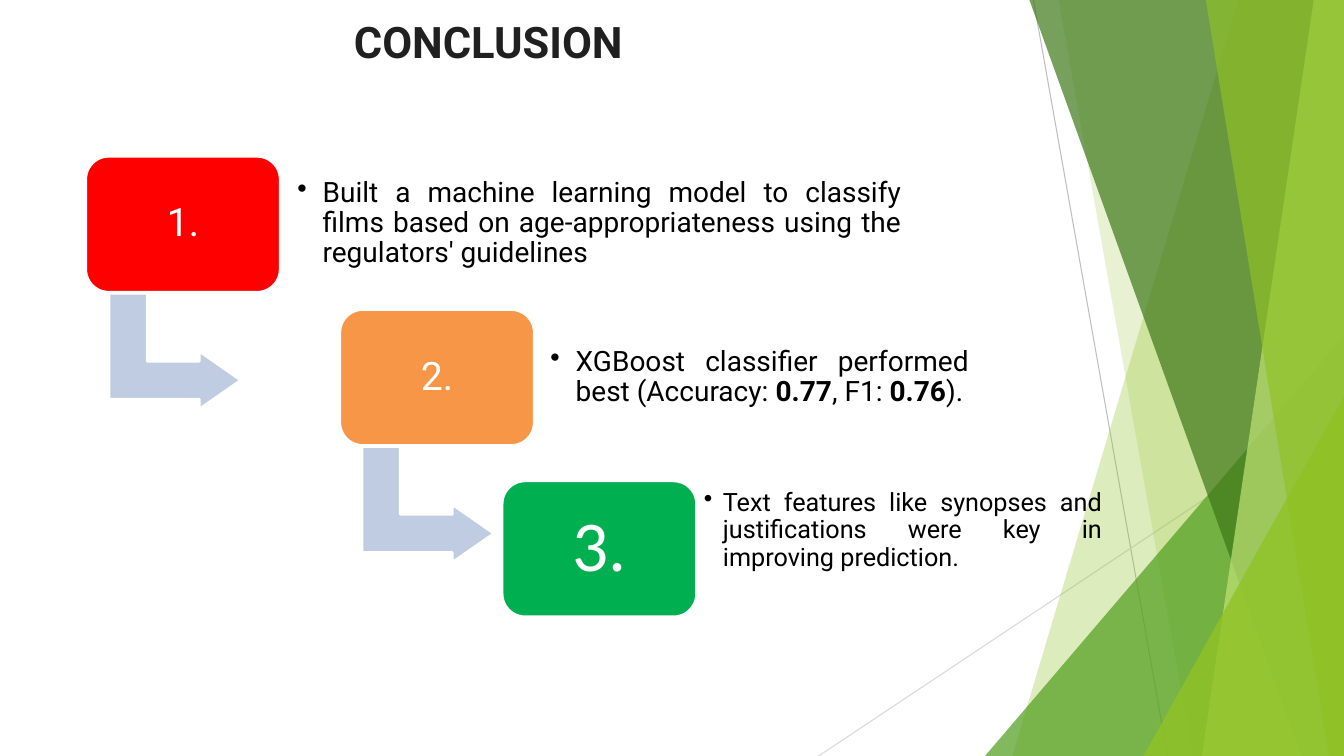
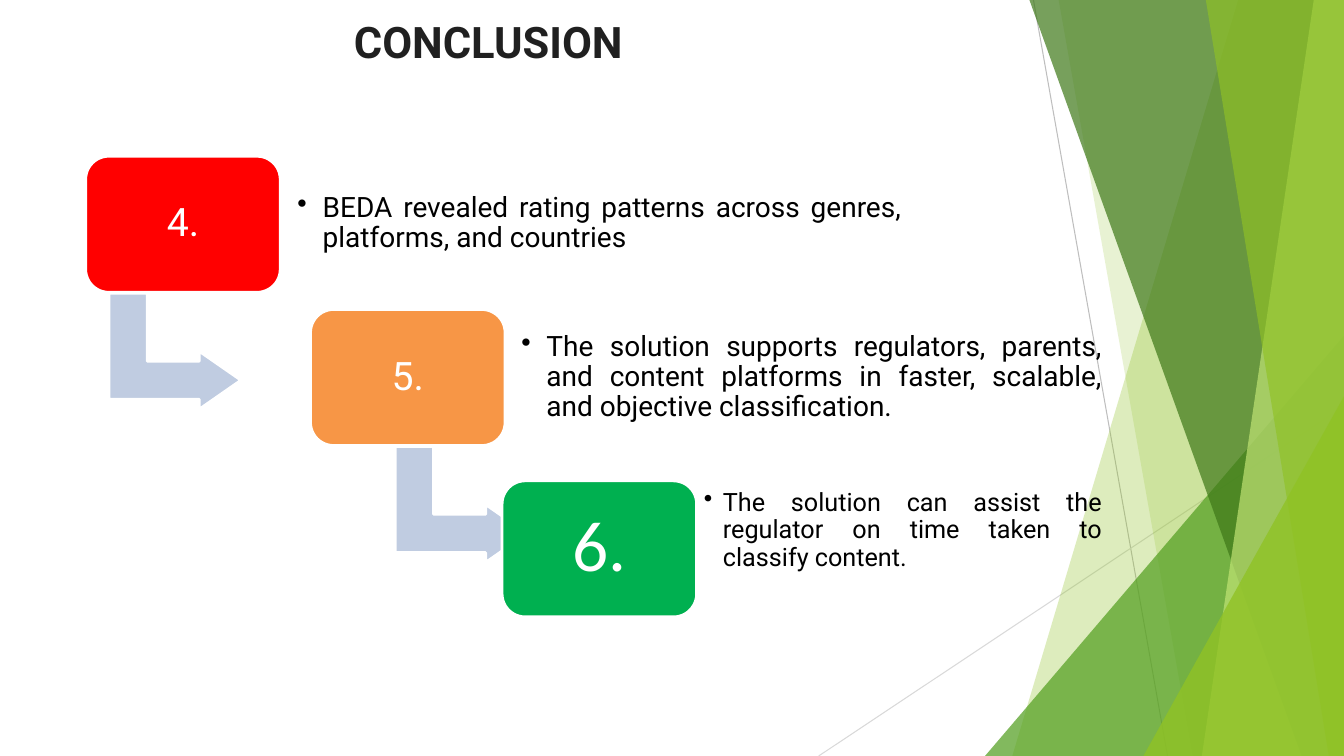
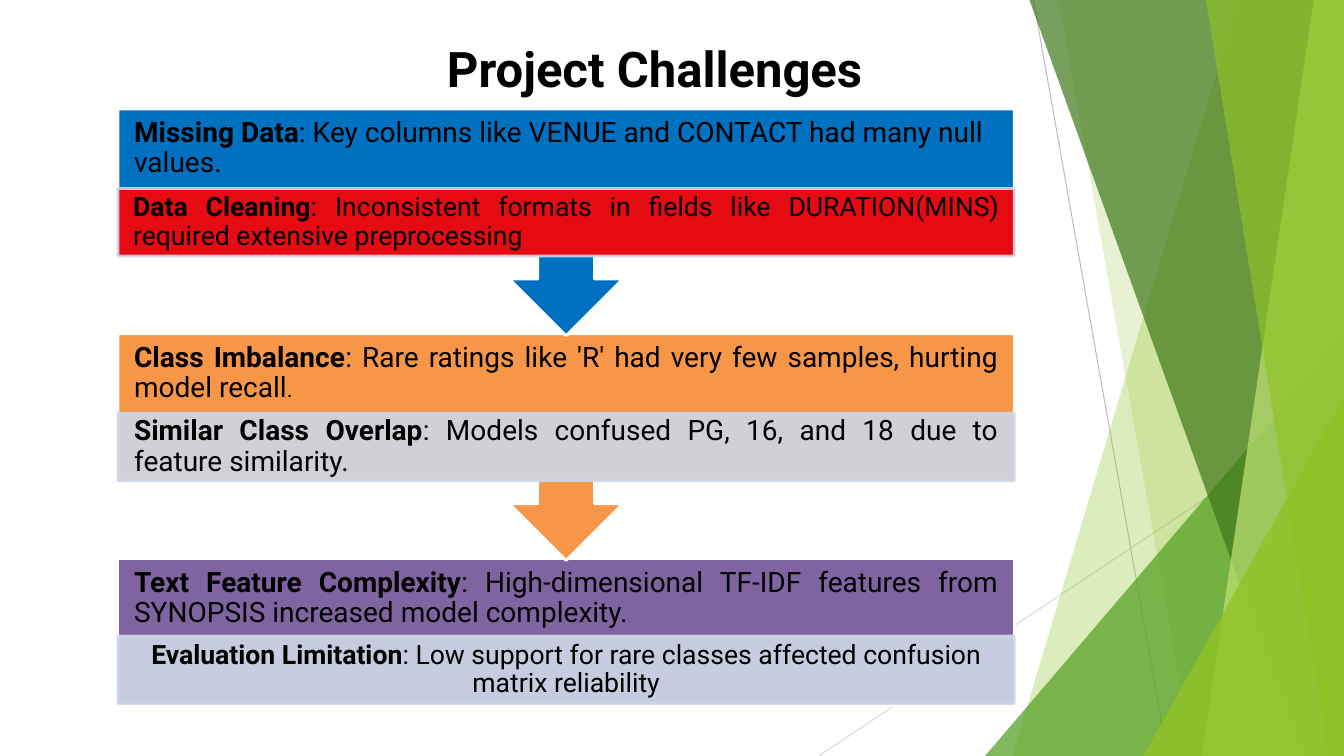
from dataclasses import dataclass
from typing import NamedTuple, Optional

from lxml.etree import SubElement
from pptx import Presentation
from pptx.dml.color import RGBColor
from pptx.enum.shapes import MSO_CONNECTOR, MSO_SHAPE
from pptx.enum.text import MSO_ANCHOR, MSO_AUTO_SIZE, PP_ALIGN
from pptx.oxml.ns import qn
from pptx.util import Inches, Pt

FONT = "Roboto"
BLACK, WHITE = "000000", "FFFFFF"
RED, ORANGE, GREEN = "FF0000", "F79646", "00B050"
BLUE, PURPLE = "0070C0", "8064A2"
PALE_BLUE, ARROW_BLUE = "CFD7E7", "C0CCE1"
WIDTH, HEIGHT = 13.33, 7.5


class Span(NamedTuple):
    text: str
    bold: bool = False
    size: Optional[float] = None


class Frame(NamedTuple):
    left: float
    top: float
    width: float
    height: float

    def lengths(self) -> list:
        return [Inches(value) for value in self]


class Ray(NamedTuple):
    start: tuple
    end: tuple
    colour: str


class Shard(NamedTuple):
    corners: tuple
    colour: str
    opacity: int


@dataclass(frozen=True)
class TextStyle:
    size: float
    colour: str = BLACK
    font: str = FONT
    align: PP_ALIGN = PP_ALIGN.JUSTIFY
    anchor: MSO_ANCHOR = MSO_ANCHOR.MIDDLE
    margin_x: float = 0
    margin_y: float = 0
    indent: float = 0
    line_spacing: float = 0.9


@dataclass(frozen=True)
class Tier:
    top: float
    colour: str
    number: TextStyle
    note_top: float
    note_offset: float
    note: TextStyle


@dataclass(frozen=True)
class Step:
    label: str
    left: float
    note_width: float
    spans: tuple
    arrow_left: Optional[float] = None


@dataclass(frozen=True)
class Detail:
    offset: float
    colour: str
    style: TextStyle
    spans: tuple


@dataclass(frozen=True)
class Stage:
    colour: str
    style: TextStyle
    spans: tuple
    detail: Detail
    leads_on: bool = True


RAYS = (
    Ray((10.25, 0), (11.58, HEIGHT), "BEBEBE"),
    Ray((WIDTH, 4.03), (8.12, HEIGHT), "D9D9D9"),
)
SHARDS = (
    Shard(((WIDTH, 0), (12.28, 0), (10.04, HEIGHT)), "90C225", 30),
    Shard(((WIDTH, 0), (10.5, 0), (11.83, HEIGHT)), "90C225", 20),
    Shard(((WIDTH, 3.33), (9.77, HEIGHT)), "539F20", 72),
    Shard(((WIDTH, 0), (10.21, 0), (12.91, HEIGHT)), "3E7818", 70),
    Shard(((WIDTH, 0), (13.03, 0), (11.92, HEIGHT)), "C0E374", 70),
    Shard(((WIDTH, 0), (11.96, 0), (13.18, HEIGHT)), "90C225", 65),
    Shard(((WIDTH, 3.93), (11.34, HEIGHT)), "90C225", 80),
)

CONCLUSION_TITLE = TextStyle(31, "202020", align=PP_ALIGN.LEFT, anchor=MSO_ANCHOR.TOP,
                             margin_x=0.01, margin_y=0.01, line_spacing=1.0)
CHALLENGES_TITLE = TextStyle(35, align=PP_ALIGN.CENTER, anchor=MSO_ANCHOR.TOP,
                             margin_x=0.1, margin_y=0.05, line_spacing=1.0)

NUMBER = TextStyle(28, WHITE, align=PP_ALIGN.CENTER, margin_x=0.12, margin_y=0.12)
LARGE_NUMBER = TextStyle(51, WHITE, "Calibri", PP_ALIGN.CENTER, margin_x=0.21, margin_y=0.21)
NOTE = TextStyle(20, margin_x=0.08, margin_y=0.08, indent=0.25)
SMALL_NOTE = TextStyle(18, margin_x=0.07, margin_y=0.07, indent=0.19)
TIERS = (
    Tier(1.55, RED, NUMBER, 1.67, 2.02, NOTE),
    Tier(3.07, ORANGE, NUMBER, 3.2, 2.01, NOTE),
    Tier(4.77, GREEN, LARGE_NUMBER, 4.72, 1.93, SMALL_NOTE),
)

CONCLUSIONS = (
    (
        Step("1.", 0.85, 6.15, (Span(
            "Built a machine learning model to classify films based on "
            "age-appropriateness using the regulators' guidelines"),), 1.16),
        Step("2.", 3.37, 4.31, (
            Span("XGBoost classifier performed best (Accuracy: "), Span("0.77", True),
            Span(", F1: "), Span("0.76", True), Span(").")), 3.67),
        Step("3.", 4.98, 4.09, (Span(
            "Text features like synopses and justifications were key in "
            "improving prediction."),)),
    ),
    (
        Step("4.", 0.85, 6.15, (Span(
            "BEDA revealed rating patterns across genres, platforms, and countries"),), 1.16),
        Step("5.", 3.08, 5.92, (Span(
            "The solution supports regulators, parents, and content platforms in "
            "faster, scalable, and objective classification."),), 4),
        Step("6.", 4.98, 4.09, (Span(
            "The solution can assist the regulator on time taken to classify content."),)),
    ),
)

HEADING = TextStyle(20, margin_x=0.16, margin_y=0.16)
LEFT_HEADING = TextStyle(20, align=PP_ALIGN.LEFT, margin_x=0.16, margin_y=0.16)
DETAIL = TextStyle(20, margin_x=0.16, margin_y=0.03)
SMALL_DETAIL = TextStyle(19, margin_x=0.15, margin_y=0.03)
CENTRED_DETAIL = TextStyle(19, align=PP_ALIGN.CENTER, margin_x=0.15, margin_y=0.03)
STAGE_LEFT, STAGE_TOP, STAGE_WIDTH, STAGE_PITCH = 1.17, 1.08, 8.89, 2.23
STAGES = (
    Stage(BLUE, LEFT_HEADING, (
        Span("Missing Data", True),
        Span(": Key columns like VENUE and CONTACT had many null values.")),
        Detail(0.79, RED, SMALL_DETAIL, (
            Span("Data Cleaning", True),
            Span(": Inconsistent formats in fields like DURATION(MINS) required "
                 "extensive preprocessing")))),
    Stage(ORANGE, HEADING, (
        Span("Class Imbalance", True),
        Span(": Rare ratings like 'R' had very few samples, hurting model recall"),
        Span(".", size=16)),
        Detail(0.79, PALE_BLUE, DETAIL, (
            Span("Similar Class Overlap", True),
            Span(": Models confused PG, 16, and 18 due to feature similarity.")))),
    Stage(PURPLE, HEADING, (
        Span("Text Feature Complexity", True),
        Span(": High-dimensional TF-IDF features from SYNOPSIS increased model complexity.")),
        Detail(0.77, PALE_BLUE, CENTRED_DETAIL, (
            Span("Evaluation Limitation", True),
            Span(": Low support for rare classes affected confusion matrix reliability"))),
        leads_on=False),
)


def colour_of(code: str) -> RGBColor:
    return RGBColor.from_string(code)


def set_opacity(shape, percent: int) -> None:
    for colour in shape.element.spPr.iter(qn("a:srgbClr")):
        SubElement(colour, qn("a:alpha"), val=str(percent * 1000))


def paint(shape, fill: str, line: Optional[str] = None, opacity: int = 100) -> None:
    shape.shadow.inherit = False
    shape.fill.solid()
    shape.fill.fore_color.rgb = colour_of(fill)
    if line:
        shape.line.color.rgb = colour_of(line)
        shape.line.width = Pt(2)
    else:
        shape.line.fill.background()
    if opacity < 100:
        set_opacity(shape, opacity)


def add_bullet(paragraph, indent: float, colour: str) -> None:
    properties = paragraph._p.get_or_add_pPr()
    properties.set("marL", str(Inches(indent)))
    properties.set("indent", str(-Inches(indent)))
    bullet_colour = SubElement(properties, qn("a:buClr"))
    SubElement(bullet_colour, qn("a:srgbClr"), val=colour)
    SubElement(properties, qn("a:buChar"), char="•")


def write(shape, spans: tuple, style: TextStyle) -> None:
    text_frame = shape.text_frame
    text_frame.word_wrap = True
    text_frame.auto_size = MSO_AUTO_SIZE.NONE
    text_frame.vertical_anchor = style.anchor
    text_frame.margin_left = text_frame.margin_right = Inches(style.margin_x)
    text_frame.margin_top = text_frame.margin_bottom = Inches(style.margin_y)
    paragraph = text_frame.paragraphs[0]
    paragraph.alignment = style.align
    paragraph.line_spacing = style.line_spacing
    if style.indent:
        add_bullet(paragraph, style.indent, style.colour)
    for span in spans:
        run = paragraph.add_run()
        run.text = span.text
        run.font.name = style.font
        run.font.size = Pt(span.size or style.size)
        run.font.bold = span.bold
        run.font.color.rgb = colour_of(style.colour)


def add_preset(page, kind: MSO_SHAPE, frame: Frame, fill: str, line: str = WHITE,
               adjustments: tuple = (), rotation: float = 0, opacity: int = 100):
    shape = page.shapes.add_shape(kind, *frame.lengths())
    for index, value in enumerate(adjustments):
        shape.adjustments[index] = value
    shape.rotation = rotation
    paint(shape, fill, line, opacity)
    return shape


def add_text(page, frame: Frame, spans: tuple, style: TextStyle) -> None:
    write(page.shapes.add_textbox(*frame.lengths()), spans, style)


def add_ray(page, ray: Ray):
    points = [Inches(value) for value in ray.start + ray.end]
    line = page.shapes.add_connector(MSO_CONNECTOR.STRAIGHT, *points)
    line.line.color.rgb = colour_of(ray.colour)
    line.line.width = Pt(0.75)
    SubElement(line.element.spPr, qn("a:effectLst"))
    return line


def add_shard(page, shard: Shard):
    corners = [(Inches(x), Inches(y)) for x, y in shard.corners + ((WIDTH, HEIGHT),)]
    builder = page.shapes.build_freeform(*corners[0])
    builder.add_line_segments(corners[1:], close=True)
    shape = builder.convert_to_shape()
    paint(shape, shard.colour, opacity=shard.opacity)
    return shape


def decorate_layout(layout, page) -> None:
    for placeholder in list(layout.placeholders):
        if placeholder.placeholder_format.idx != 0:
            layout.shapes.element.remove(placeholder.element)
    decorations = [add_ray(page, ray) for ray in RAYS]
    decorations += [add_shard(page, shard) for shard in SHARDS]
    for decoration in decorations:
        layout.shapes.element.append(decoration.element)


def set_title(page, text: str, frame: Frame, style: TextStyle) -> None:
    title = page.shapes.title
    title.left, title.top, title.width, title.height = frame.lengths()
    write(title, (Span(text, True),), style)


def draw_step(page, tier: Tier, step: Step) -> None:
    if step.arrow_left is not None:
        add_preset(page, MSO_SHAPE.BENT_UP_ARROW,
                   Frame(step.arrow_left, tier.top + 1.28, 1.15, 1.31), ARROW_BLUE,
                   adjustments=(0.33, 0.25, 0.36), rotation=90)
    box = add_preset(page, MSO_SHAPE.ROUNDED_RECTANGLE,
                     Frame(step.left, tier.top, 1.93, 1.35), tier.colour,
                     adjustments=(0.17,))
    write(box, (Span(step.label),), tier.number)
    add_text(page, Frame(step.left + tier.note_offset, tier.note_top, step.note_width, 1.09),
             step.spans, tier.note)


def draw_conclusion(page, steps: tuple) -> None:
    set_title(page, "CONCLUSION", Frame(3.5, 0.14, 4.35, 0.54), CONCLUSION_TITLE)
    for tier, step in zip(TIERS, steps):
        draw_step(page, tier, step)


def draw_stage(page, stage: Stage, top: float) -> None:
    if stage.leads_on:
        add_preset(page, MSO_SHAPE.UP_ARROW_CALLOUT,
                   Frame(STAGE_LEFT, top, STAGE_WIDTH, 2.25), stage.colour,
                   adjustments=(0.25, 0.25, 0.25, 0.65), rotation=180)
    else:
        add_preset(page, MSO_SHAPE.RECTANGLE,
                   Frame(STAGE_LEFT, top, STAGE_WIDTH, 1.46), stage.colour)
    add_text(page, Frame(STAGE_LEFT, top, STAGE_WIDTH, 0.79), stage.spans, stage.style)
    detail = stage.detail
    band = add_preset(page, MSO_SHAPE.RECTANGLE,
                      Frame(STAGE_LEFT, top + detail.offset, STAGE_WIDTH, 0.67),
                      detail.colour, PALE_BLUE, opacity=90)
    write(band, detail.spans, detail.style)


def draw_challenges(page) -> None:
    set_title(page, "Project Challenges", Frame(2.58, 0.33, 7.83, 1.01), CHALLENGES_TITLE)
    for index, stage in reversed(list(enumerate(STAGES))):
        draw_stage(page, stage, STAGE_TOP + index * STAGE_PITCH)


def main() -> None:
    deck = Presentation()
    deck.slide_width, deck.slide_height = Inches(WIDTH), Inches(HEIGHT)
    layout = deck.slide_layouts[5]
    pages = [deck.slides.add_slide(layout) for _ in range(3)]
    decorate_layout(layout, pages[0])
    for page, steps in zip(pages, CONCLUSIONS):
        draw_conclusion(page, steps)
    draw_challenges(pages[-1])
    deck.save("out.pptx")


if __name__ == "__main__":
    main()
